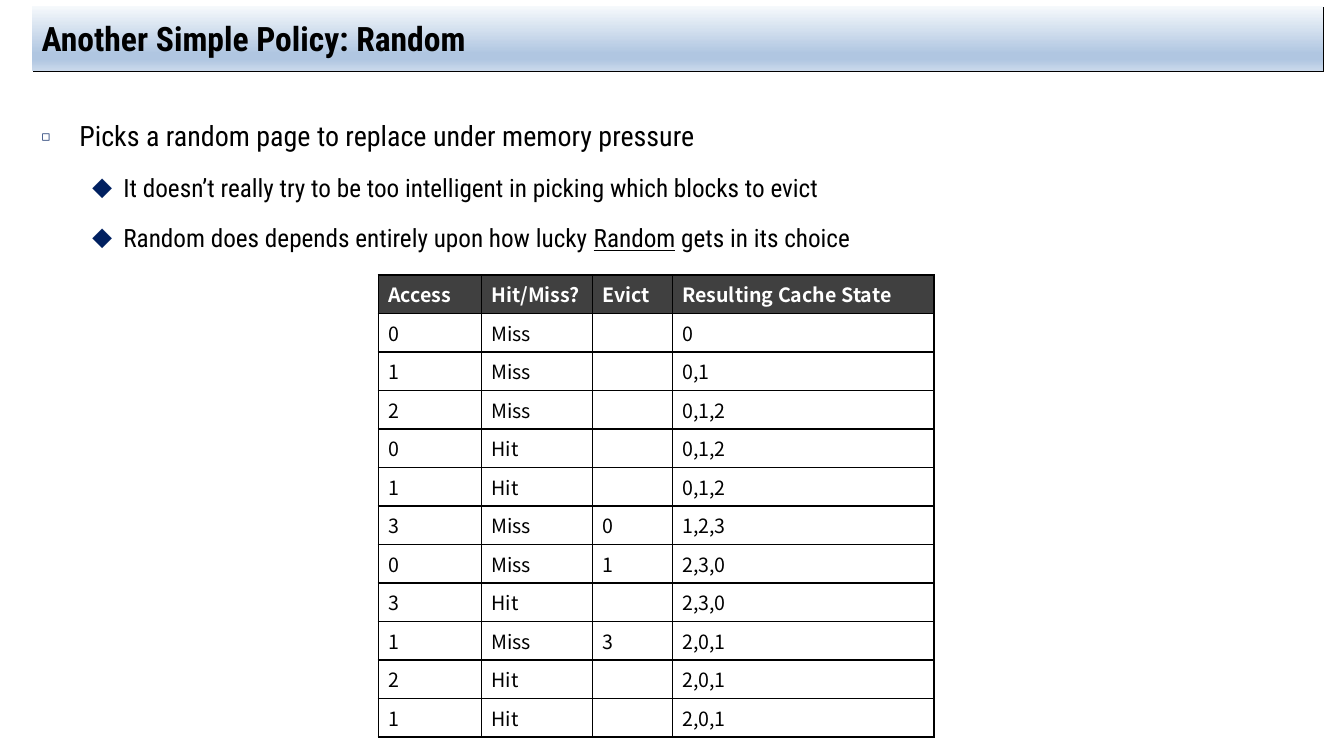
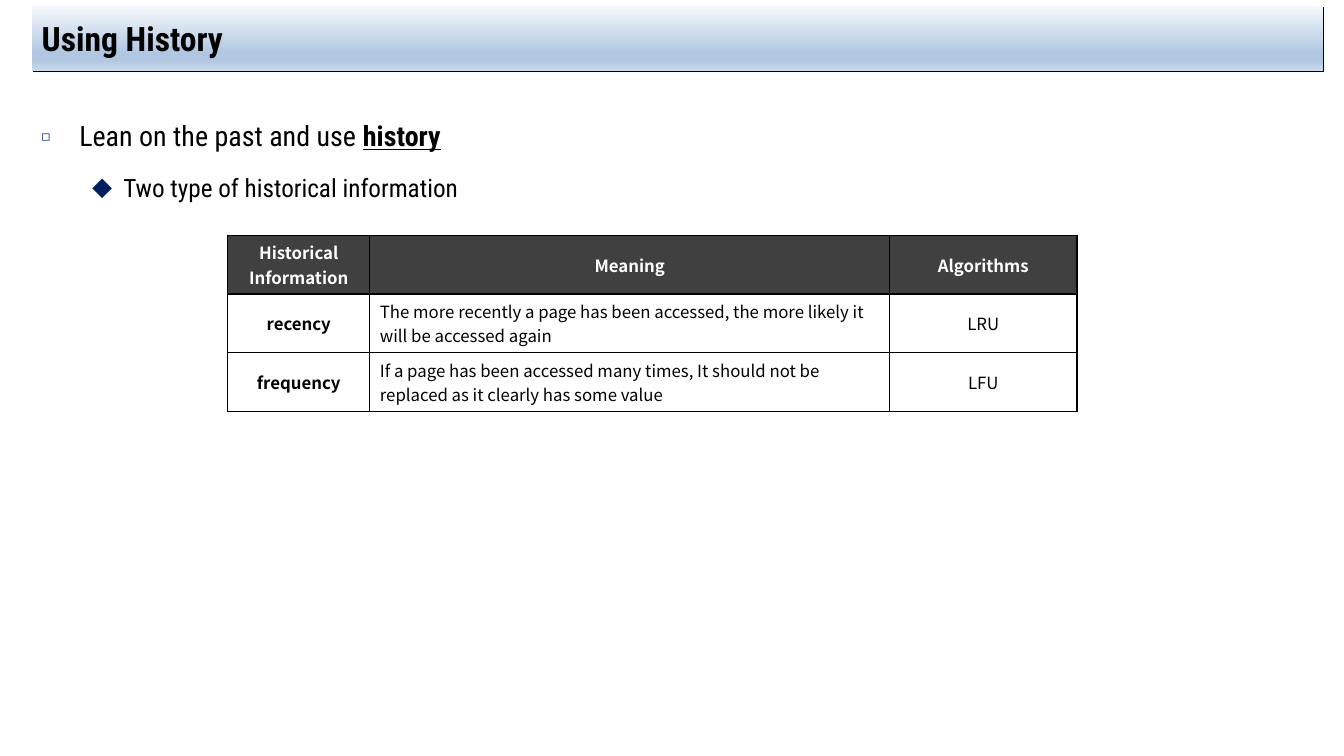
from lxml import etree
from pptx import Presentation
from pptx.dml.color import RGBColor
from pptx.enum.shapes import MSO_SHAPE
from pptx.enum.text import MSO_ANCHOR, PP_ALIGN
from pptx.oxml.ns import qn
from pptx.util import Cm, Pt

RECTANGLE = MSO_SHAPE.RECTANGLE
TOP, MIDDLE = MSO_ANCHOR.TOP, MSO_ANCHOR.MIDDLE
LEFT, CENTER = PP_ALIGN.LEFT, PP_ALIGN.CENTER

BLACK = RGBColor(0x00, 0x00, 0x00)
WHITE = RGBColor(0xFF, 0xFF, 0xFF)
HEADER_GRAY = RGBColor(0x40, 0x40, 0x40)
BULLET_NAVY = RGBColor(0x00, 0x20, 0x60)
BAND_PALE = RGBColor(0xF6, 0xF9, 0xFC)
BAND_BLUE = RGBColor(0xB0, 0xC6, 0xE1)
BAND_LIGHT = RGBColor(0xCA, 0xD9, 0xEB)
BAND_STOPS = [(0, BAND_PALE), (74, BAND_BLUE), (83, BAND_BLUE), (100, BAND_LIGHT)]

TEXT_FONT = "Roboto Condensed"
TABLE_FONT = "Noto Sans CJK KR"
BULLET_FONT = TABLE_FONT
MARGIN = Cm(0.8)
CONTENT_WIDTH = Cm(32.54)

BULLET_LEVELS = [
    {"char": "◻", "scale": 50, "size": 20, "margin": Cm(0.95), "hanging": Cm(0.95)},
    {"char": "◆", "scale": 80, "size": 18, "margin": Cm(2.06), "hanging": Cm(0.79)},
]

CACHE_TRACE = [
    ("Access", "Hit/Miss?", "Evict", "Resulting Cache State"),
    ("0", "Miss", "", "0"),
    ("1", "Miss", "", "0,1"),
    ("2", "Miss", "", "0,1,2"),
    ("0", "Hit", "", "0,1,2"),
    ("1", "Hit", "", "0,1,2"),
    ("3", "Miss", "0", "1,2,3"),
    ("0", "Miss", "1", "2,3,0"),
    ("3", "Hit", "", "2,3,0"),
    ("1", "Miss", "3", "2,0,1"),
    ("2", "Hit", "", "2,0,1"),
    ("1", "Hit", "", "2,0,1"),
]

HISTORY_TYPES = [
    ("Historical Information", "Meaning", "Algorithms"),
    ("recency",
     "The more recently a page has been accessed, the more likely it will be accessed again",
     "LRU"),
    ("frequency",
     "If a page has been accessed many times, It should not be replaced "
     "as it clearly has some value",
     "LFU"),
]


def add_element(parent, tag, **attributes):
    return etree.SubElement(parent, qn(tag), attributes)


def style_font(font, name, size, color=BLACK, bold=False):
    font.name = name
    font.size = Pt(size)
    font.color.rgb = color
    font.bold = bold


def add_title(slide, text):
    shape = slide.shapes.add_shape(RECTANGLE, MARGIN, Cm(0.15), CONTENT_WIDTH, Cm(1.63))
    shape.line.fill.background()
    shape.fill.gradient()
    shape.fill.gradient_angle = 270
    properties = shape._element.spPr
    stops = properties.find(qn("a:gradFill")).find(qn("a:gsLst"))
    stops.clear()
    for percent, color in BAND_STOPS:
        stop = add_element(stops, "a:gs", pos=str(percent * 1000))
        add_element(stop, "a:srgbClr", val=str(color))
    shape.shadow.inherit = False
    shadow = add_element(properties.find(qn("a:effectLst")), "a:outerShdw",
                         dist=str(Pt(1.4)), dir="2700000", algn="tl", rotWithShape="0")
    add_element(shadow, "a:srgbClr", val=str(BLACK))
    frame = shape.text_frame
    frame.vertical_anchor = MIDDLE
    paragraph = frame.paragraphs[0]
    paragraph.alignment = LEFT
    paragraph.text = text
    style_font(paragraph.font, TEXT_FONT, 24, bold=True)


def add_bullet(paragraph, level):
    properties = paragraph._p.get_or_add_pPr()
    properties.set("marL", str(level["margin"]))
    properties.set("indent", str(-level["hanging"]))
    color = add_element(properties, "a:buClr")
    add_element(color, "a:srgbClr", val=str(BULLET_NAVY))
    add_element(properties, "a:buSzPct", val=str(level["scale"] * 1000))
    add_element(properties, "a:buFont", typeface=BULLET_FONT)
    add_element(properties, "a:buChar", char=level["char"])


def add_body(slide, items):
    box = slide.shapes.add_textbox(MARGIN, Cm(2.44), CONTENT_WIDTH, Cm(15.29))
    frame = box.text_frame
    frame.word_wrap = True
    for index, (depth, runs) in enumerate(items):
        paragraph = frame.add_paragraph() if index else frame.paragraphs[0]
        level = BULLET_LEVELS[depth]
        paragraph.level = depth
        paragraph.line_spacing = 1.5
        paragraph.space_before = Pt(level["size"] * 0.2)
        add_bullet(paragraph, level)
        style_font(paragraph.font, TEXT_FONT, level["size"])
        for text, emphasis in runs:
            run = paragraph.add_run()
            run.text = text
            if "bold" in emphasis:
                run.font.bold = True
            if "underline" in emphasis:
                run.font.underline = True


def add_borders(cell):
    properties = cell._tc.get_or_add_tcPr()
    for position, side in enumerate(("a:lnL", "a:lnR", "a:lnT", "a:lnB")):
        line = etree.Element(qn(side), w=str(Pt(1)))
        fill = add_element(line, "a:solidFill")
        add_element(fill, "a:srgbClr", val=str(BLACK))
        properties.insert(position, line)


def fill_cell(cell, text, size, header, bold, alignment, anchor):
    cell.fill.solid()
    cell.fill.fore_color.rgb = HEADER_GRAY if header else WHITE
    add_borders(cell)
    cell.vertical_anchor = anchor
    paragraph = cell.text_frame.paragraphs[0]
    paragraph.alignment = alignment
    style_font(paragraph.font, TABLE_FONT, size, WHITE if header else BLACK, bold)
    if text:
        paragraph.add_run().text = text
    else:
        add_element(paragraph._p, "a:endParaRPr", sz=str(size * 100))


def add_grid(slide, rows, left, top, widths, row_height, size,
             anchor=TOP, centered=(), bold_columns=()):
    frame = slide.shapes.add_table(len(rows), len(widths), left, top,
                                   Cm(sum(widths)), row_height * len(rows))
    table = frame.table
    table.first_row = False
    table.horz_banding = False
    for column, width in zip(table.columns, widths):
        column.width = Cm(width)
    for row_index, texts in enumerate(rows):
        table.rows[row_index].height = row_height
        header = row_index == 0
        for column_index, text in enumerate(texts):
            center = column_index in centered or (header and centered)
            fill_cell(table.cell(row_index, column_index), text, size, header,
                      header or column_index in bold_columns,
                      CENTER if center else LEFT, anchor)


def add_slide(presentation, title, items):
    slide = presentation.slides.add_slide(presentation.slide_layouts[6])
    add_title(slide, title)
    add_body(slide, items)
    return slide


def main():
    presentation = Presentation()
    presentation.slide_width = Cm(33.87)
    presentation.slide_height = Cm(19.05)

    random_slide = add_slide(presentation, "Another Simple Policy: Random", [
        (0, [("Picks a random page to replace under memory pressure", ())]),
        (1, [("It doesn’t really try to be too intelligent in picking "
              "which blocks to evict", ())]),
        (1, [("Random does depends entirely upon how lucky ", ()),
             ("Random", ("underline",)),
             (" gets in its choice", ())]),
    ])
    add_grid(random_slide, CACHE_TRACE, Cm(9.53), Cm(6.93),
             (2.6, 2.8, 2.01, 6.6), Cm(0.97), 14)

    history_slide = add_slide(presentation, "Using History", [
        (0, [("Lean on the past and use ", ()), ("history", ("bold", "underline"))]),
        (1, [("Two type of historical information", ())]),
    ])
    add_grid(history_slide, HISTORY_TYPES, Cm(5.74), Cm(5.93),
             (3.58, 13.1, 4.72), Cm(1.48), 12,
             anchor=MIDDLE, centered=(0, 2), bold_columns=(0,))

    presentation.save("out.pptx")


if __name__ == "__main__":
    main()
